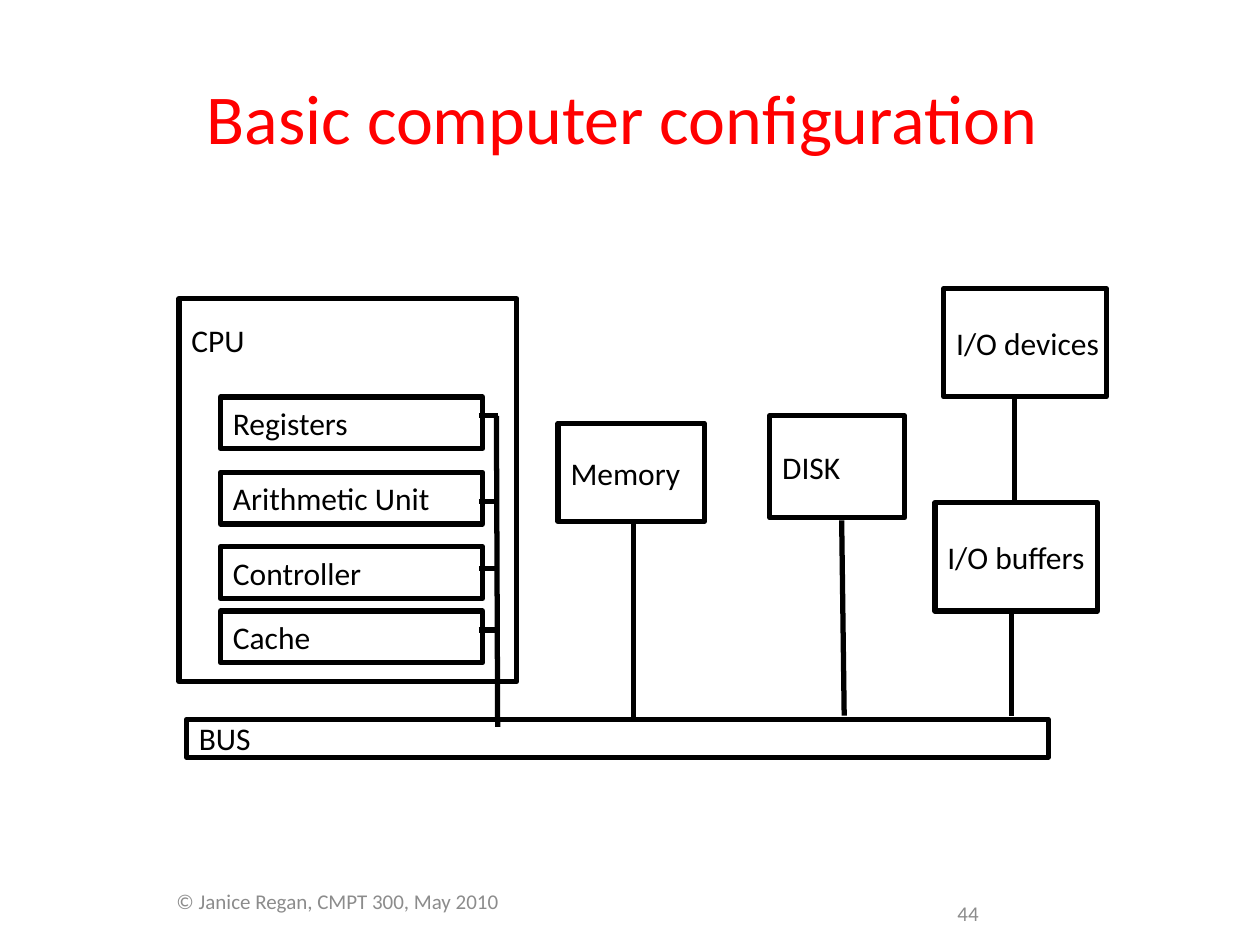
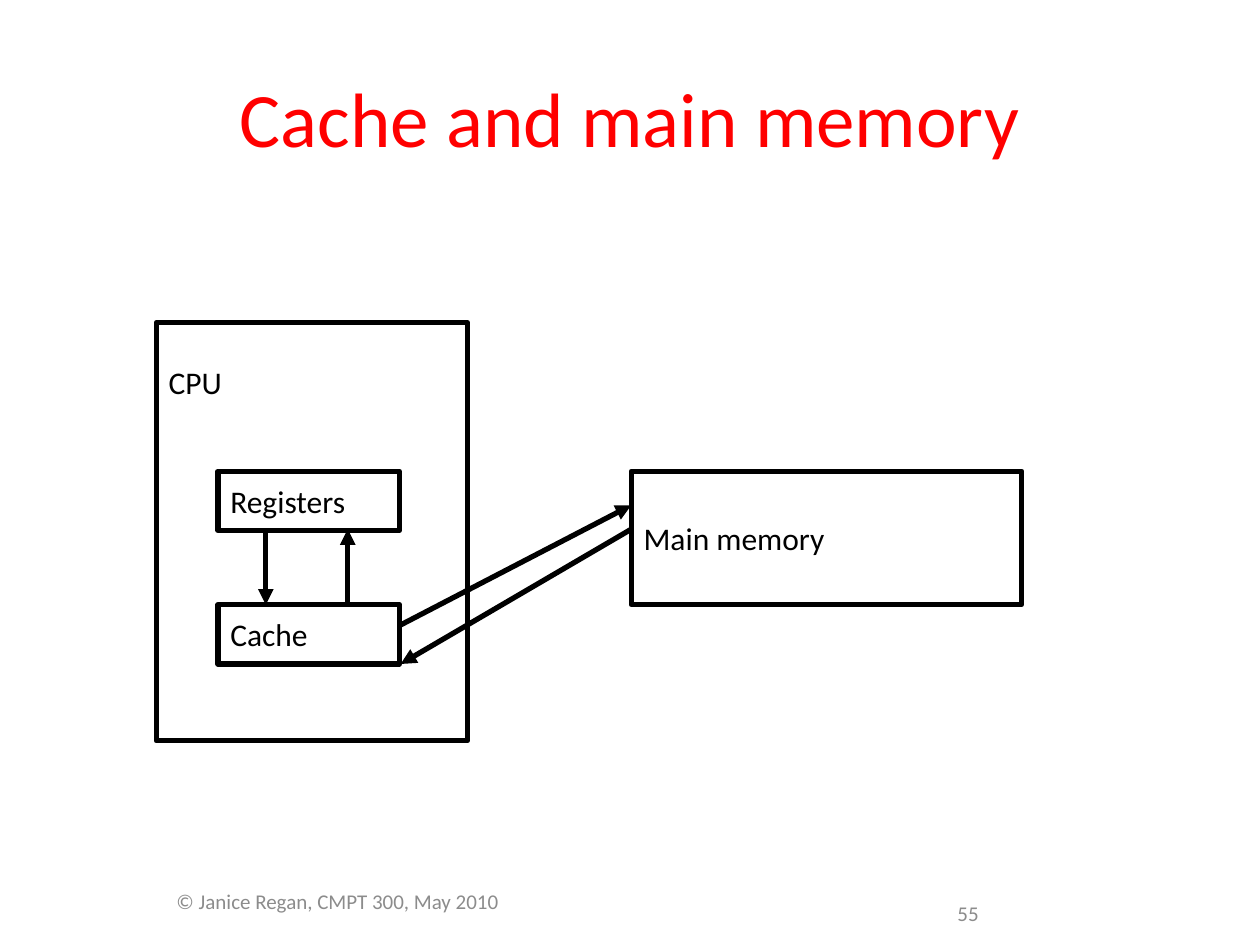
from pptx import Presentation
from pptx import util as u
from pptx.dml.color import RGBColor
from pptx.enum import shapes, text
from pptx.oxml.ns import qn
from lxml import etree

COLOURS = {"title": "FF0000", "ink": "000000", "paper": "FFFFFF", "footer": "8C8C8C"}
FONT = "Calibri"
FOOTER = "© Janice Regan, CMPT 300, May 2010"
LINE_WIDTH = u.Pt(3)


def colour(name):
    return RGBColor.from_string(COLOURS[name])


def style_text(frame, content, size, colour_name, align=text.PP_ALIGN.LEFT,
               anchor=text.MSO_ANCHOR.MIDDLE):
    frame.word_wrap = True
    frame.vertical_anchor = anchor
    paragraph = frame.paragraphs[0]
    paragraph.text = content
    paragraph.alignment = align
    paragraph.font.name = FONT
    paragraph.font.size = u.Pt(size)
    paragraph.font.color.rgb = colour(colour_name)


def add_footer(slide, left, top, width, content, **layout):
    box = slide.shapes.add_textbox(u.Inches(left), u.Inches(top), u.Inches(width), u.Inches(0.5))
    style_text(box.text_frame, content, 12, "footer", **layout)


def add_titled_slide(presentation, title, title_size, number):
    slide = presentation.slides.add_slide(presentation.slide_layouts[5])
    heading = slide.shapes.title
    heading.left, heading.top = u.Inches(0.5), u.Inches(0.3)
    heading.width, heading.height = u.Inches(9), u.Inches(1.25)
    style_text(heading.text_frame, title, title_size, "title", text.PP_ALIGN.CENTER)
    add_footer(slide, 0.28, 7, 4.8, FOOTER,
               align=text.PP_ALIGN.CENTER, anchor=text.MSO_ANCHOR.TOP)
    add_footer(slide, 7.5, 7, 2.08, number)
    return slide


def add_unit(slide, label, left, top, width, height, label_drop=None):
    """Outlined box; label_drop puts its label that far below the top edge."""
    unit = slide.shapes.add_shape(shapes.MSO_SHAPE.RECTANGLE, u.Inches(left), u.Inches(top),
                                  u.Inches(width), u.Inches(height))
    unit.shadow.inherit = False
    unit.fill.solid()
    unit.fill.fore_color.rgb = colour("paper")
    unit.line.color.rgb = colour("ink")
    unit.line.width = LINE_WIDTH
    style_text(unit.text_frame, label, 18, "ink")
    unit.text_frame.margin_right = 0
    if label_drop is not None:
        unit.text_frame.vertical_anchor = text.MSO_ANCHOR.TOP
        unit.text_frame.margin_top = u.Inches(label_drop)


def add_wire(slide, start, end, arrow=False):
    wire = slide.shapes.add_connector(shapes.MSO_CONNECTOR.STRAIGHT,
                                      *(u.Inches(value) for value in (*start, *end)))
    wire.line.color.rgb = colour("ink")
    wire.line.width = LINE_WIDTH
    etree.SubElement(wire._element.spPr, qn("a:effectLst"))
    if arrow:
        etree.SubElement(wire.line._get_or_add_ln(), qn("a:tailEnd"), type="triangle")


def add_bus_cpu(slide, left, top):
    """CPU whose parts are tapped onto one vertical wire down to the bus."""
    add_unit(slide, "CPU", left, top, 2.68, 3.04, label_drop=0.18)
    trunk = left + 2.53
    parts = [("Registers", 0.78, 0.93), ("Arithmetic Unit", 1.38, 1.61),
             ("Controller", 1.97, 2.14), ("Cache", 2.48, 2.63)]
    for label, part_top, tap in parts:
        add_unit(slide, label, left + 0.33, top + part_top, 2.08, 0.41)
        add_wire(slide, (trunk - 0.15, top + tap), (trunk, top + tap))
    add_wire(slide, (trunk - 0.01, top + 0.93), (trunk, top + 3.4))


def add_io_stack(slide, left, top, bus_top):
    add_unit(slide, "I/O devices", left + 0.07, top, 1.29, 0.86)
    add_unit(slide, "I/O buffers", left, top + 1.7, 1.29, 0.86)
    add_wire(slide, (left + 0.63, top + 0.86), (left + 0.63, top + 1.7))
    add_wire(slide, (left + 0.61, top + 2.56), (left + 0.61, bus_top))


def build_configuration_slide(presentation):
    slide = add_titled_slide(presentation, "Basic computer configuration ", 40, "44")
    bus_top = 5.71
    add_unit(slide, "BUS", 1.48, bus_top, 6.84, 0.3)
    add_bus_cpu(slide, 1.42, 2.37)
    add_unit(slide, "Memory", 4.43, 3.36, 1.16, 0.78)
    add_wire(slide, (5.03, 4.14), (5.03, bus_top))
    add_unit(slide, "DISK", 6.11, 3.3, 1.07, 0.81)
    add_wire(slide, (6.68, 4.13), (6.7, bus_top - 0.03))
    add_io_stack(slide, 7.42, 2.29, bus_top - 0.03)


def add_cache_cpu(slide, left, top):
    """CPU with registers and cache exchanging data."""
    add_unit(slide, "CPU", left, top, 2.47, 3.32, label_drop=0.32)
    registers_top, cache_top = top + 1.18, top + 2.24
    for label, part_top in (("Registers", registers_top), ("Cache", cache_top)):
        add_unit(slide, label, left + 0.49, part_top, 1.44, 0.47)
    registers_bottom = registers_top + 0.46
    down, up = left + 0.87, left + 1.52
    add_wire(slide, (down, registers_bottom), (down, cache_top), arrow=True)
    add_wire(slide, (up, cache_top), (up, registers_bottom), arrow=True)


def build_cache_slide(presentation):
    slide = add_titled_slide(presentation, "Cache and main memory", 44, "55")
    add_cache_cpu(slide, 1.24, 2.56)
    cache_right, memory_left = 3.18, 5.01
    add_unit(slide, "Main memory", memory_left, 3.74, 3.1, 1.06)
    add_wire(slide, (cache_right, 4.96), (memory_left, 4.01), arrow=True)
    add_wire(slide, (memory_left, 4.2), (cache_right, 5.27), arrow=True)


def main():
    presentation = Presentation()
    presentation.slide_width, presentation.slide_height = u.Inches(10), u.Inches(7.5)
    build_configuration_slide(presentation)
    build_cache_slide(presentation)
    presentation.save("out.pptx")


if __name__ == "__main__":
    main()
